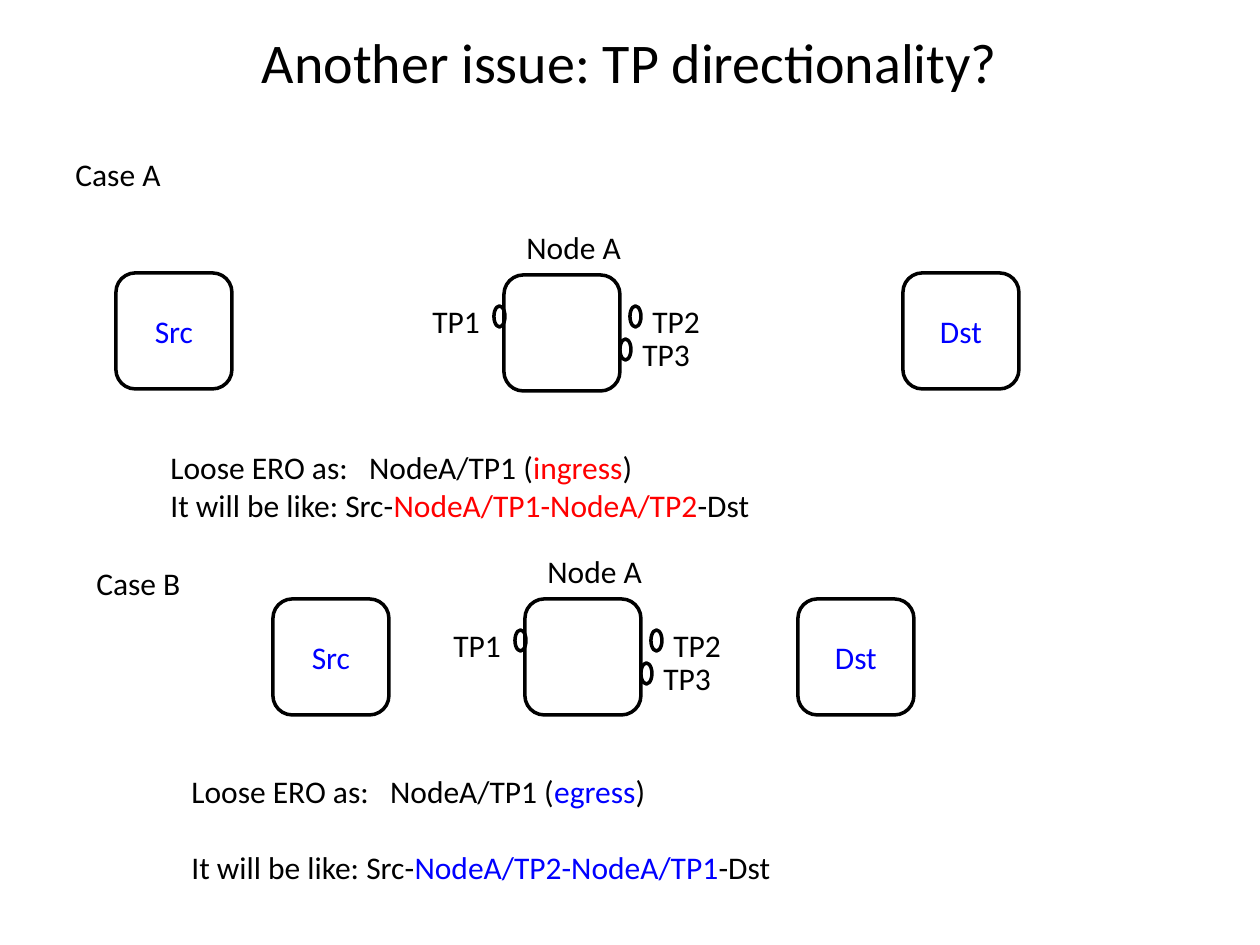
"""Build a slide comparing two readings of a termination point's direction."""
from dataclasses import dataclass

from pptx import Presentation, util as u
from pptx.dml.color import RGBColor
from pptx.enum import shapes, text

PIXEL = u.Inches(1) // 126
BLACK, RED, BLUE = "000000", "FF0000", "0000FF"
NODE_SIZE = 116


@dataclass
class TerminationPoint:
    name: str
    port: tuple[int, int]
    label: tuple[int, int]


@dataclass
class Case:
    name: str
    label: tuple[int, int]
    node: tuple[int, int]
    source_left: int
    target_left: int
    end_top: int
    direction: str
    route: str
    accent: str
    gap: int


POINTS = [
    TerminationPoint("TP1", (-10, 31), (-84, 21)),
    TerminationPoint("TP2", (126, 31), (136, 21)),
    TerminationPoint("TP3", (116, 64), (126, 54)),
]
CASES = [
    Case("Case A", (63, 149), (504, 275), 116, 903, 273,
         "ingress", "NodeA/TP1-NodeA/TP2", RED, 0),
    Case("Case B", (84, 558), (525, 599), 273, 798, 599,
         "egress", "NodeA/TP2-NodeA/TP1", BLUE, 22),
]


def px(*lengths: int) -> list[int]:
    """Turn pixels into EMU."""
    return [length * PIXEL for length in lengths]


def color(value: str) -> RGBColor:
    """Return the colour of a hex string."""
    return RGBColor.from_string(value)


def style(para, size: int = 18, value: str = BLACK) -> None:
    """Set the font of a paragraph."""
    para.font.name = "Calibri"
    para.font.size = u.Pt(size)
    para.font.color.rgb = color(value)


def add_outline(page, kind, left: int, top: int, width: int, height: int):
    """Draw an unfilled shape with a black line."""
    shape = page.shapes.add_shape(kind, *px(left, top, width, height))
    shape.shadow.inherit = False
    shape.fill.background()
    shape.line.color.rgb = color(BLACK)
    shape.line.width = u.Pt(2)
    return shape


def add_node(page, left: int, top: int, name: str = "") -> None:
    """Draw a rounded node, with its name inside if given."""
    node = add_outline(page, shapes.MSO_SHAPE.ROUNDED_RECTANGLE,
                       left, top, NODE_SIZE, NODE_SIZE)
    if name:
        frame = node.text_frame
        frame.vertical_anchor = text.MSO_ANCHOR.MIDDLE
        para = frame.paragraphs[0]
        para.text = name
        para.alignment = text.PP_ALIGN.CENTER
        style(para, value=BLUE)


def add_text(page, left: int, top: int, width: int, height: int,
             lines: list[list[tuple[str, str]]], gap: int = 0) -> None:
    """Add lines made of coloured spans, with a gap between lines."""
    box = page.shapes.add_textbox(*px(left, top, width, height))
    frame = box.text_frame
    frame.word_wrap = False
    frame.auto_size = text.MSO_AUTO_SIZE.SHAPE_TO_FIT_TEXT
    for index, line in enumerate(lines):
        para = frame.add_paragraph() if index else frame.paragraphs[0]
        style(para)
        if index:
            para.space_before = u.Pt(gap)
        for words, value in line:
            span = para.add_run()
            span.text = words
            if value != BLACK:
                span.font.color.rgb = color(value)


def add_label(page, left: int, top: int, width: int, words: str) -> None:
    """Add a one-line black label."""
    add_text(page, left, top, width, 51, [[(words, BLACK)]])


def add_case(page, case: Case) -> None:
    """Draw one case with its nodes, ports and route."""
    left, top = case.node
    add_label(page, *case.label, 112, case.name)
    add_node(page, left, top)
    add_label(page, left + 10, top - 53, 121, "Node A")
    for point in POINTS:
        add_outline(page, shapes.MSO_SHAPE.OVAL,
                    left + point.port[0], top + point.port[1], 11, 21)
        add_label(page, left + point.label[0], top + point.label[1], 73, point.name)
    add_node(page, case.source_left, case.end_top, "Src")
    add_node(page, case.target_left, case.end_top, "Dst")
    lines = [
        [("Loose ERO as:   NodeA/TP1 (", BLACK), (case.direction, case.accent), (")", BLACK)],
        [("It will be like: Src-", BLACK), (case.route, case.accent), ("-Dst", BLACK)],
    ]
    add_text(page, left - 346, top + 167, 610, 89 + case.gap * 126 // 72, lines, case.gap)


def add_title(page, words: str) -> None:
    """Place the slide title."""
    title = page.shapes.title
    title.left, title.top, title.width, title.height = px(63, 21, 1134, 158)
    title.text_frame.vertical_anchor = text.MSO_ANCHOR.TOP
    para = title.text_frame.paragraphs[0]
    para.text = words
    para.alignment = text.PP_ALIGN.CENTER
    style(para, 32)


def main() -> None:
    """Build and save the deck."""
    deck = Presentation()
    deck.slide_width, deck.slide_height = u.Inches(10), u.Inches(7.5)
    page = deck.slides.add_slide(deck.slide_layouts[5])
    add_title(page, "Another issue: TP directionality?")
    for case in CASES:
        add_case(page, case)
    deck.save("out.pptx")


main()
